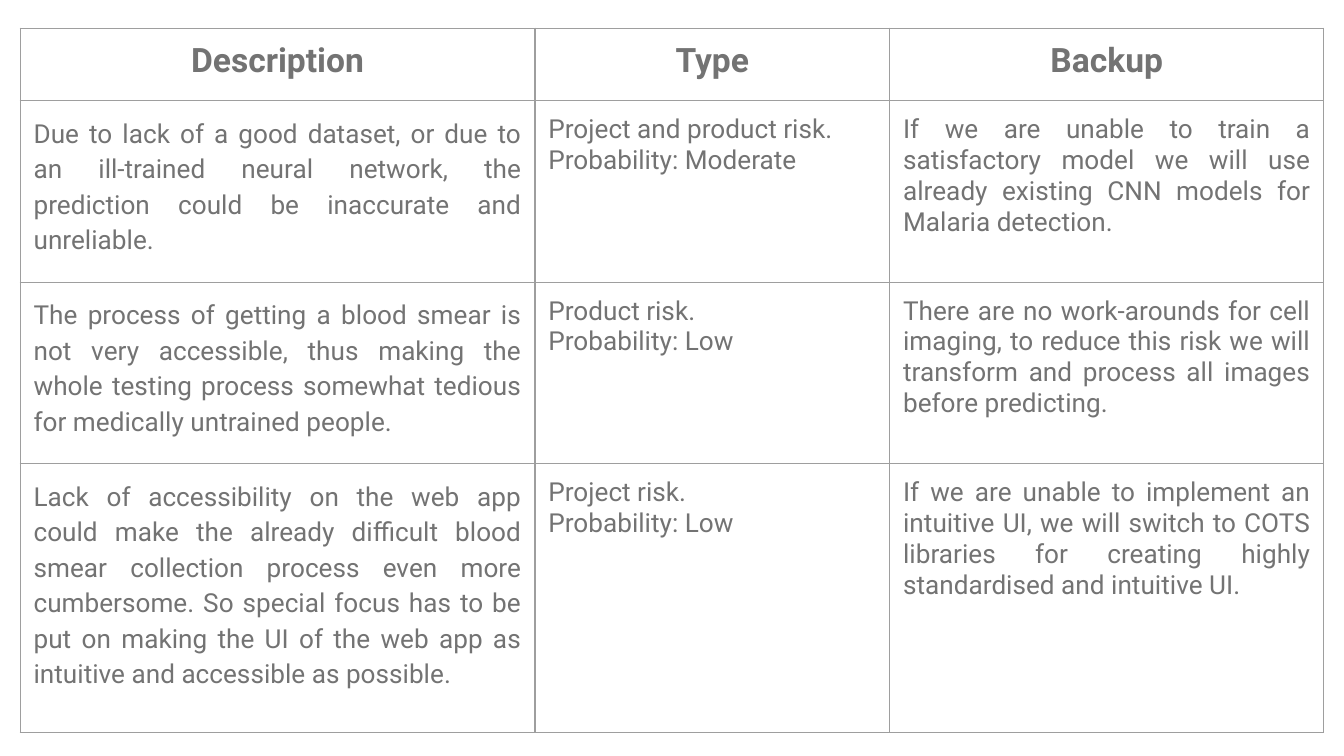
from dataclasses import dataclass

from lxml.etree import SubElement
from pptx import Presentation
from pptx.dml.color import RGBColor
from pptx.enum.text import PP_ALIGN
from pptx.oxml.ns import qn
from pptx.table import _Cell
from pptx.util import Inches, Pt

FONT = "Roboto"
INK = "737373"
LINE = "9E9E9E"
HEADS = ("Description", "Type", "Backup")
WIDTHS = (3.83, 2.64, 3.23)
HEIGHTS = (0.54, 1.35, 1.35, 2)


@dataclass
class Risk:
    about: str
    kind: str
    odds: str
    backup: str


@dataclass
class Style:
    size: int = 14
    bold: bool = False
    align: PP_ALIGN = PP_ALIGN.JUSTIFY
    lead: float | None = None
    after: int = 0


HEAD = Style(size=18, bold=True, align=PP_ALIGN.CENTER)
BODY = Style()
LOOSE = Style(lead=1.15, after=16)

RISKS = (
    Risk(
        "Due to lack of a good dataset, or due to an ill-trained neural "
        "network, the prediction could be inaccurate and unreliable.",
        "Project and product risk.",
        "Moderate",
        "If we are unable to train a satisfactory model we will use already "
        "existing CNN models for Malaria detection.",
    ),
    Risk(
        "The process of getting a blood smear is not very accessible, thus "
        "making the whole testing process somewhat tedious for medically "
        "untrained people.",
        "Product risk.",
        "Low",
        "There are no work-arounds for cell imaging, to reduce this risk we "
        "will transform and process all images before predicting.",
    ),
    Risk(
        "Lack of accessibility on the web app could make the already "
        "difficult blood smear collection process even more cumbersome. So "
        "special focus has to be put on making the UI of the web app as "
        "intuitive and accessible as possible.",
        "Project risk.",
        "Low",
        "If we are unable to implement an intuitive UI, we will switch to "
        "COTS libraries for creating highly standardised and intuitive UI.",
    ),
)


def color(code: str) -> RGBColor:
    return RGBColor.from_string(code)


def frame(cell: _Cell) -> None:
    """Rule all four sides of a cell."""
    props = cell._tc.get_or_add_tcPr()
    for side in ("lnL", "lnR", "lnT", "lnB"):
        line = SubElement(props, qn(f"a:{side}"), w=str(Pt(0.75)))
        fill = SubElement(line, qn("a:solidFill"))
        SubElement(fill, qn("a:srgbClr"), val=LINE)


def write(cell: _Cell, text: str, style: Style) -> None:
    """Fill a cell with text, one paragraph per line."""
    cell.margin_left = cell.margin_right = Inches(0.1)
    cell.margin_top = cell.margin_bottom = Inches(0.1)
    frame(cell)
    cell.fill.background()
    cell.text_frame.text = text
    for para in cell.text_frame.paragraphs:
        para.alignment = style.align
        para.line_spacing = style.lead
        para.space_after = Pt(style.after)
        for run in para.runs:
            run.font.name = FONT
            run.font.size = Pt(style.size)
            run.font.bold = style.bold
            run.font.color.rgb = color(INK)


def main() -> None:
    # Widescreen page, 16:9
    deck = Presentation()
    deck.slide_width = Inches(10)
    deck.slide_height = Inches(10 * 9 / 16)
    slide = deck.slides.add_slide(deck.slide_layouts[6])

    # Table grid
    table = slide.shapes.add_table(
        len(HEIGHTS), len(WIDTHS), Inches(0.15), Inches(0.21),
        Inches(sum(WIDTHS)), Inches(sum(HEIGHTS)),
    ).table
    table.first_row = table.horz_banding = False
    for col, width in zip(table.columns, WIDTHS):
        col.width = Inches(width)
    for row, height in zip(table.rows, HEIGHTS):
        row.height = Inches(height)

    # Header row
    for col, head in enumerate(HEADS):
        write(table.cell(0, col), head, HEAD)

    # One row per risk
    for row, risk in enumerate(RISKS, start=1):
        write(table.cell(row, 0), risk.about, LOOSE)
        write(table.cell(row, 1), f"{risk.kind}\nProbability: {risk.odds}", BODY)
        write(table.cell(row, 2), risk.backup, BODY)

    deck.save("out.pptx")


if __name__ == "__main__":
    main()
